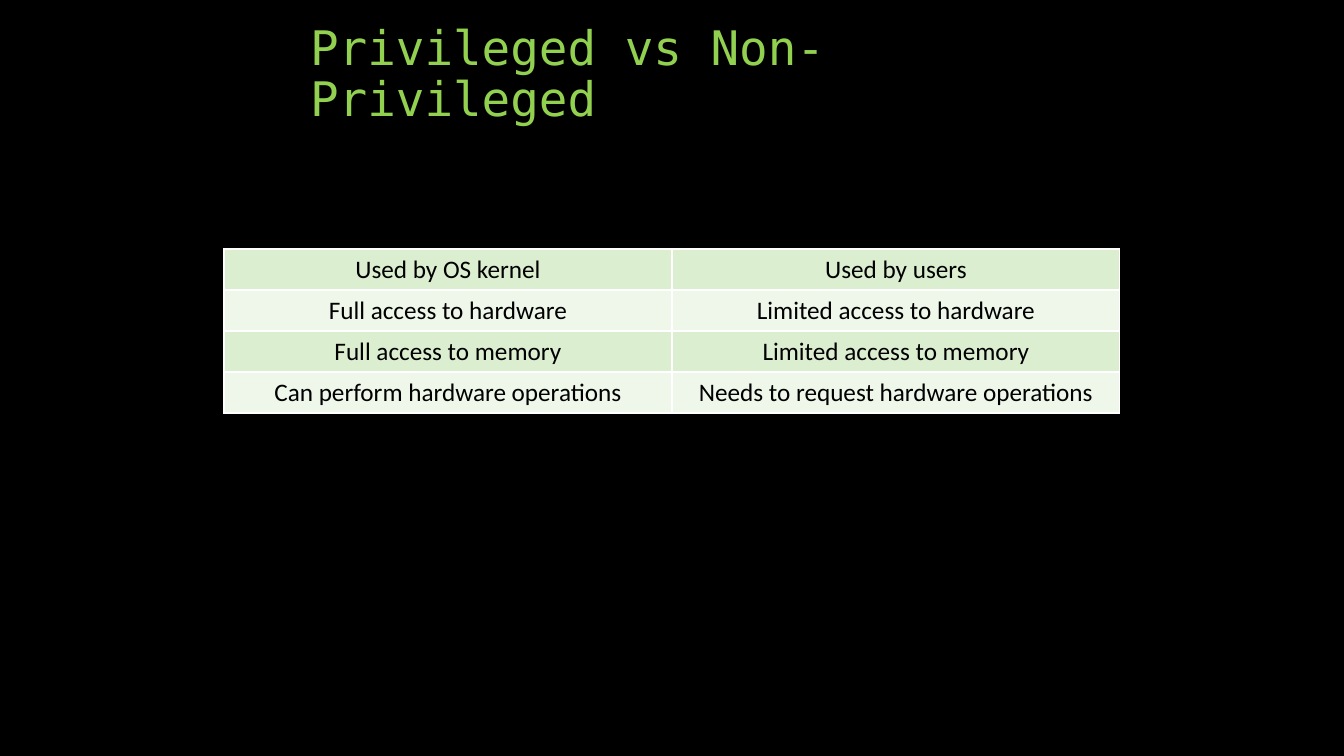
import pptx
import pptx.dml.color
import pptx.enum.text
import pptx.oxml
import pptx.oxml.ns
import pptx.util

PX = 12700 * 72 / 100.8  # EMU in one px
BANDS = ("DCEED0", "EEF7E9")
ROWS = [
    ("Used by OS kernel", "Used by users"),
    ("Full access to hardware", "Limited access to hardware"),
    ("Full access to memory", "Limited access to memory"),
    ("Can perform hardware operations", "Needs to request hardware operations"),
]


def px(n):
    return pptx.util.Emu(round(n * PX))


def rgb(color):
    return pptx.dml.color.RGBColor.from_string(color)


def add_run(p, text, size, font, color):
    r = p.add_run()
    r.text = text
    r.font.size = pptx.util.Pt(size)
    r.font.name = font
    r.font.color.rgb = rgb(color)


def add_borders(cell, color, width):
    tcPr = cell._tc.get_or_add_tcPr()
    for side in ("lnL", "lnR", "lnT", "lnB"):
        tcPr.append(pptx.oxml.parse_xml(
            f'<a:{side} {pptx.oxml.ns.nsdecls("a")} w="{pptx.util.Pt(width)}">'
            f'<a:solidFill><a:srgbClr val="{color}"/></a:solidFill></a:{side}>'))


def place_title(s, text, x, y, w, h):
    title = s.shapes.title
    title.left, title.top, title.width, title.height = map(px, (x, y, w, h))
    tf = title.text_frame
    tf.word_wrap = True
    tf.auto_size = pptx.enum.text.MSO_AUTO_SIZE.NONE
    tf.vertical_anchor = pptx.enum.text.MSO_ANCHOR.BOTTOM
    p = tf.paragraphs[0]
    p.alignment = pptx.enum.text.PP_ALIGN.LEFT
    p.line_spacing = 0.9
    p.space_before = pptx.util.Pt(0)
    add_run(p, text, 34, "DejaVu Sans Mono", "92D050")


def place_comparison(s, rows, x, y, w, h):
    table = s.shapes.add_table(len(rows), len(rows[0]), *map(px, (x, y, w, h))).table
    table.first_row = table.horz_banding = False
    for i, texts in enumerate(rows):
        table.rows[i].height = px(h / len(rows))
        for j, text in enumerate(texts):
            cell = table.cell(i, j)
            add_borders(cell, "FFFFFF", 1)
            cell.fill.solid()
            cell.fill.fore_color.rgb = rgb(BANDS[i % 2])
            p = cell.text_frame.paragraphs[0]
            p.alignment = pptx.enum.text.PP_ALIGN.CENTER
            add_run(p, text, 18, "Calibri", "000000")


def main():
    prs = pptx.Presentation()
    prs.slide_width, prs.slide_height = px(1344), px(756)
    s = prs.slides.add_slide(prs.slide_layouts[5])

    # Black background
    s.background.fill.solid()
    s.background.fill.fore_color.rgb = rgb("000000")

    # Title and comparison table
    place_title(s, "Privileged vs Non-Privileged", 300, 6, 766, 126)
    place_comparison(s, ROWS, 224, 249, 896, 164)
    prs.save("out.pptx")


if __name__ == "__main__":
    main()
